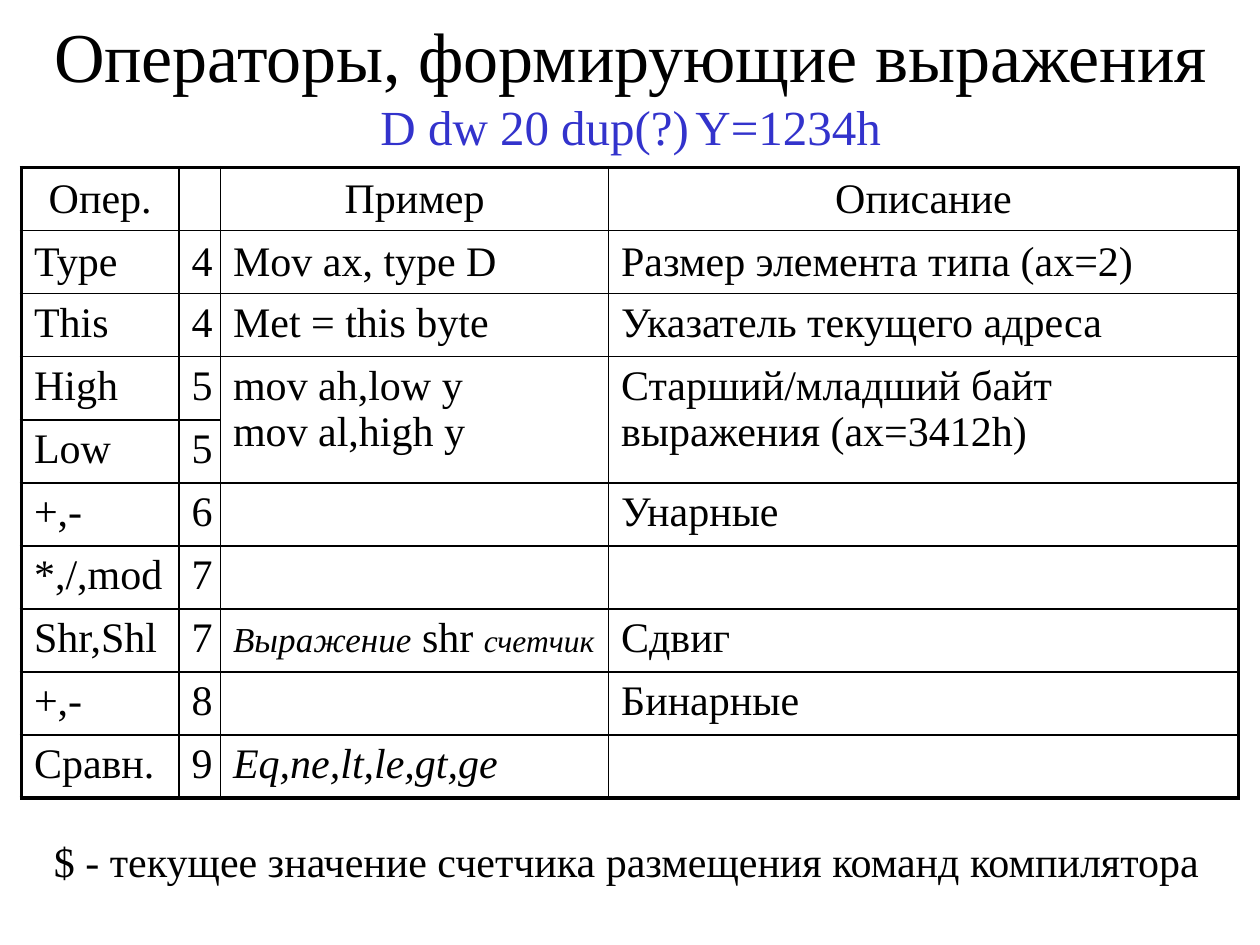
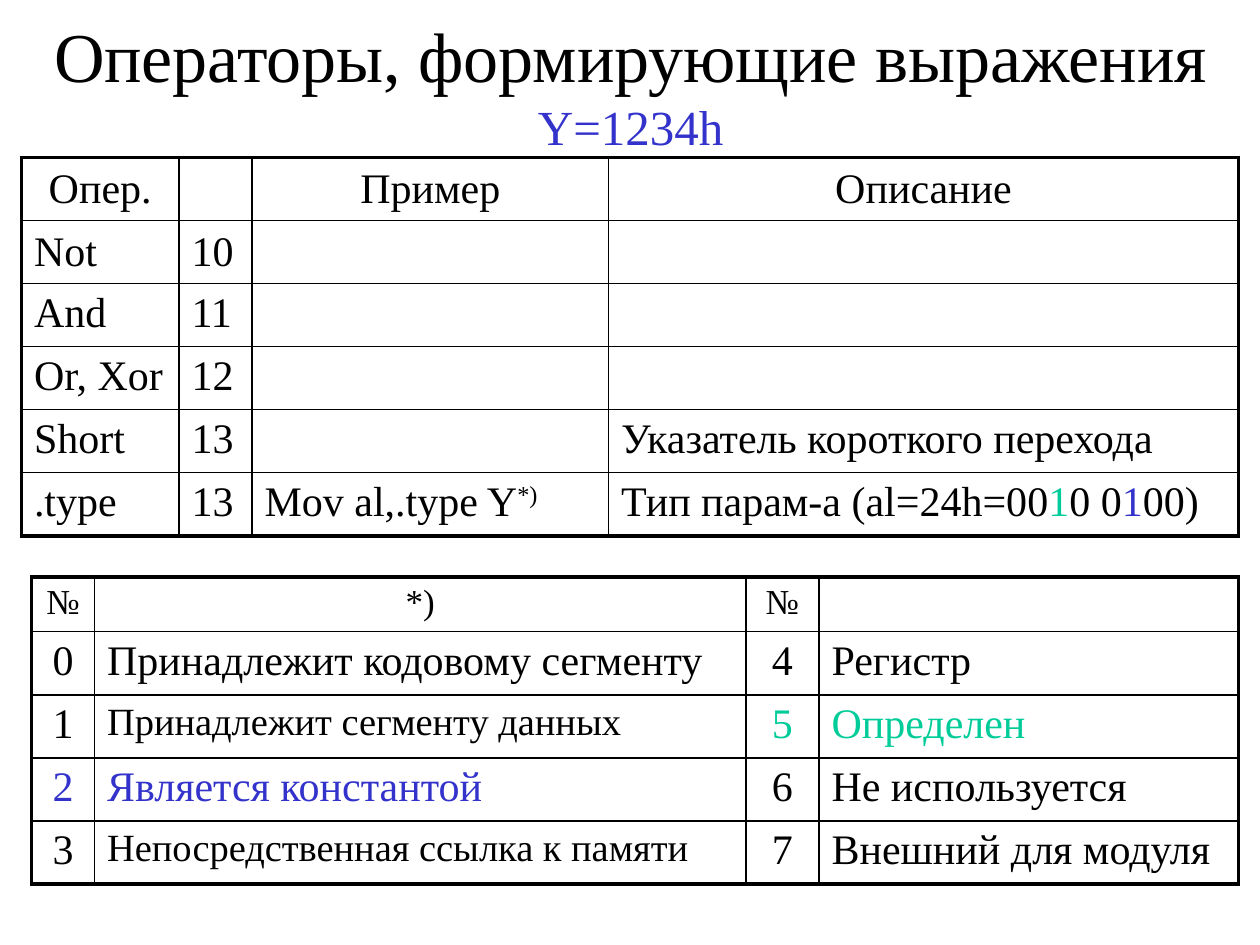
"""Build two slides on assembler expression operators."""
import pptx
import pptx.dml.color
import pptx.enum.text
import pptx.oxml
import pptx.oxml.ns
import pptx.util
from pptx.util import Inches

RGB = pptx.dml.color.RGBColor
BLACK = RGB(0, 0, 0)
BLUE = RGB(0x33, 0x33, 0xCC)
GREEN = RGB(0x00, 0xCC, 0x99)
LEFT = pptx.enum.text.PP_ALIGN.LEFT
MID = pptx.enum.text.PP_ALIGN.CENTER
TOP = pptx.enum.text.MSO_ANCHOR.TOP
CENTER = pptx.enum.text.MSO_ANCHOR.MIDDLE
ROW = 0.47
HEAD = ["Опер.", "", "Пример", "Описание"]


class Deck:
    """Hold the style and the current slide."""

    font = "Times New Roman"
    size = 24
    thin, thick = 1, 2.25

    def __init__(self):
        self.prs = pptx.Presentation()
        self.prs.slide_width = Inches(10)
        self.prs.slide_height = Inches(7.5)

    def slide(self, sub):
        """Add a slide with its title and blue second line."""
        self.page = self.prs.slides.add_slide(self.prs.slide_layouts[6])
        title = ["Операторы, формирующие выражения\v",
                 (sub, {"size": 28, "color": BLUE})]
        self.text(title, 0.17, 0, 9.67, 1.33, 40, MID, CENTER)

    def text(self, runs, x, y, w, h, size=size, align=LEFT, anchor=TOP):
        """Add a text box."""
        box = self.page.shapes.add_textbox(
            Inches(x), Inches(y), Inches(w), Inches(h))
        frame = box.text_frame
        frame.word_wrap = True
        frame.vertical_anchor = anchor
        self.put(frame, runs, size, align)

    def put(self, frame, runs, size, align):
        """Put a string or a list of styled runs in one paragraph."""
        para = frame.paragraphs[0]
        para.alignment = align
        self.style(para.font, size, BLACK)
        para.font.name = self.font
        for item in [runs] if isinstance(runs, (str, tuple)) else runs:
            words, look = (item, {}) if isinstance(item, str) else item
            for n, line in enumerate(words.split("\v")):
                if n:
                    para.add_line_break()
                if line:
                    run = para.add_run()
                    run.text = line
                    self.style(run.font, **look)

    def style(self, font, size=None, color=None, italic=None, base=None):
        """Set only the given font traits."""
        if size:
            font.size = pptx.util.Pt(size)
        if color is not None:
            font.color.rgb = color
        if italic:
            font.italic = True
        if base:
            font._element.set("baseline", str(base * 1000))

    def edge(self, cell, side, width):
        """Draw one border of a cell."""
        line = pptx.oxml.parse_xml(
            f'<a:ln{side} {pptx.oxml.ns.nsdecls("a")} w="{int(width * 12700)}">'
            f'<a:solidFill><a:srgbClr val="{BLACK}"/></a:solidFill></a:ln{side}>')
        cell._tc.get_or_add_tcPr().append(line)

    def table(self, rows, x, y, cols, top=ROW, size=size, mids=(), high=0):
        """Add a ruled table with a centred head row."""
        last, end = len(rows) - 1, len(cols) - 1
        grid = self.page.shapes.add_table(
            len(rows), len(cols), Inches(x), Inches(y),
            Inches(sum(cols)), Inches(top + last * ROW)).table
        grid.first_row = grid.horz_banding = False
        for col, width in zip(grid.columns, cols):
            col.width = Inches(width)
        for r, row in enumerate(rows):
            grid.rows[r].height = Inches(ROW if r else top)
            for c, runs in enumerate(row):
                cell = grid.cell(r, c)
                outer = {"L": c == 0, "R": c == end,
                         "T": r == 0, "B": r == last}
                for side, edge in outer.items():
                    self.edge(cell, side, self.thick if edge else self.thin)
                cell.fill.background()
                cell.vertical_anchor = CENTER if r < high else TOP
                self.put(cell.text_frame, runs, self.size if r else size,
                         MID if r == 0 or c in mids else LEFT)
        return grid


deck = Deck()

deck.slide("D dw 20 dup(?)\tY=1234h")
grid = deck.table([
    HEAD,
    ["Type", "4", "Mov ax, type D", "Размер элемента типа (ax=2)"],
    ["This", "4", "Met = this byte", "Указатель текущего адреса"],
    ["High", "5", "mov ah,low y\vmov al,high y",
     "Старший/младший байт выражения (ax=3412h)"],
    ["Low", "5", "", ""],
    ["+,-", "6", "", "Унарные"],
    ["*,/,mod", "7", "", ""],
    ["Shr,Shl", "7", [("Выражение", {"size": 20, "italic": True}), " shr ",
                      ("счетчик", {"size": 18, "italic": True})], "Сдвиг"],
    ["+,-", "8", "", "Бинарные"],
    ["Сравн.", "9", ("Eq,ne,lt,le,gt,ge", {"italic": True}), ""],
], 0.17, 1.33, [1.25, 0.33, 3.08, 5], high=2)
for col in (2, 3):
    grid.cell(3, col).merge(grid.cell(4, col))
deck.text("$ - текущее значение счетчика размещения команд компилятора",
          0.33, 6.58, 9.5, 0.5)

deck.slide("Y=1234h")
deck.table([
    HEAD,
    ["Not", "10", "", ""],
    ["And", "11", "", ""],
    ["Or, Xor", "12", "", ""],
    ["Short", "13", "", "Указатель короткого перехода"],
    [".type", "13", ["Mov al,.type Y", ("*)", {"base": 30})],
     ["Тип парам-а (al=24h=00", ("1", {"color": GREEN}), "0 0",
      ("1", {"color": BLUE}), "00)"]],
], 0.17, 1.25, [1.25, 0.58, 2.83, 5], high=2)
deck.table([
    ["№", "*)", "№", ""],
    ["0", "Принадлежит кодовому сегменту", "4", "Регистр"],
    ["1", ("Принадлежит сегменту данных", {"size": 22}),
     ("5", {"color": GREEN}), ("Определен", {"color": GREEN})],
    [("2", {"color": BLUE}), ("Является константой", {"color": BLUE}),
     "6", "Не используется"],
    ["3", ("Непосредственная ссылка к памяти", {"size": 22}),
     "7", "Внешний для модуля"],
], 0.25, 4.58, [0.5, 5.17, 0.58, 3.33], top=0.41, size=20, mids=(0, 2))

deck.prs.save("out.pptx")
